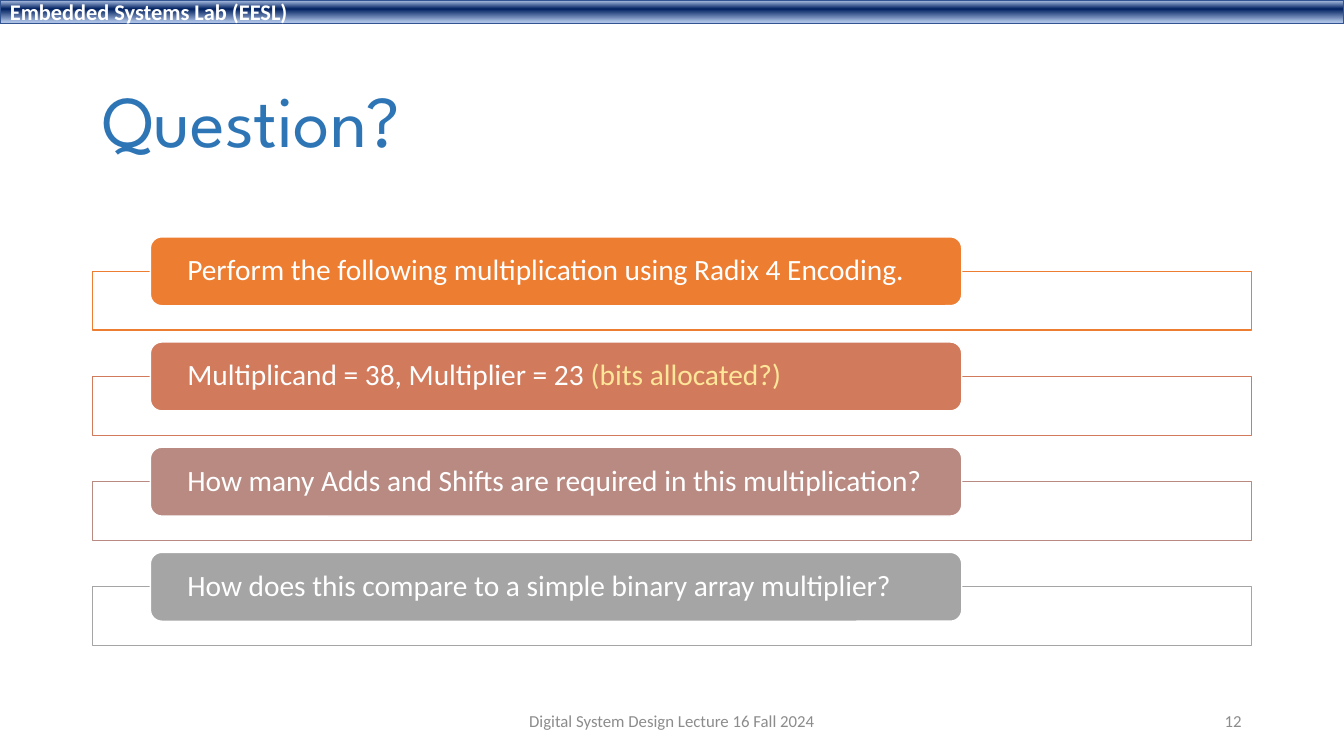
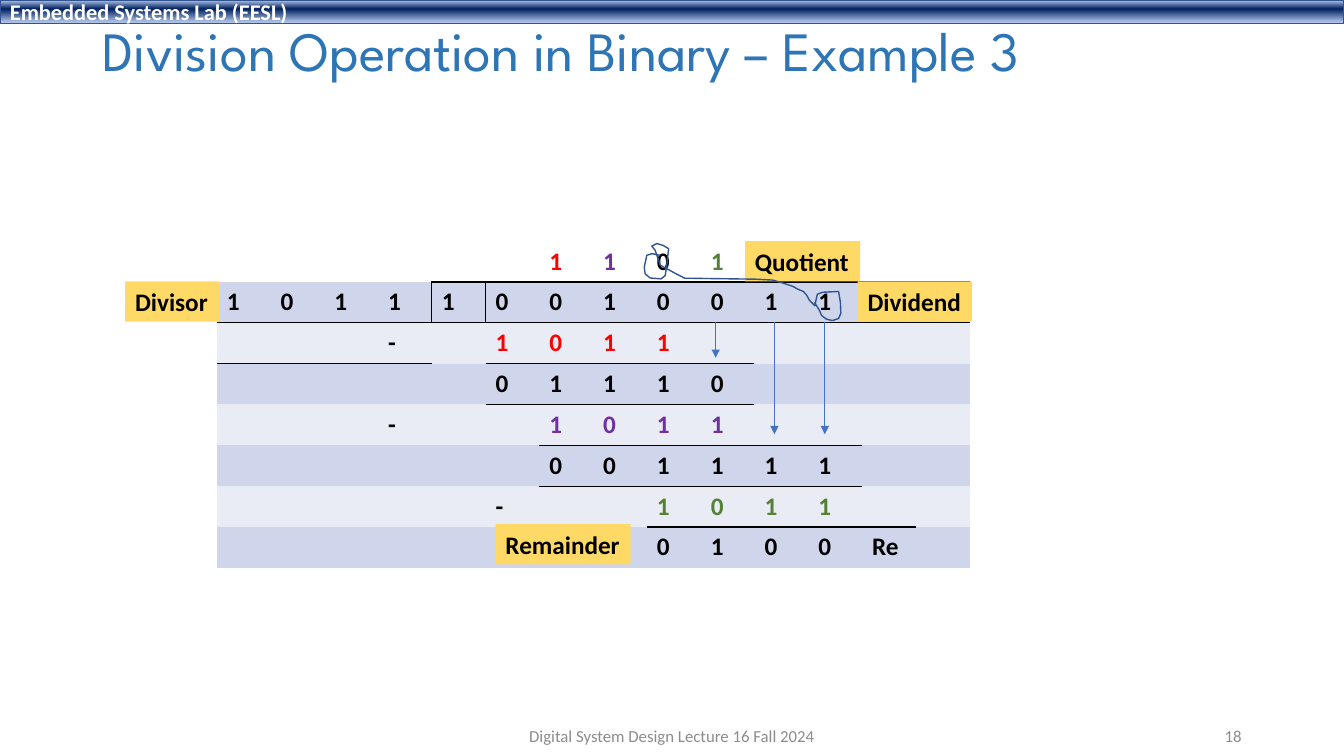
from lxml.etree import SubElement
from pptx import Presentation
from pptx.dml.color import RGBColor
from pptx.enum.shapes import MSO_CONNECTOR, MSO_SHAPE
from pptx.enum.text import MSO_ANCHOR, PP_ALIGN
from pptx.oxml.ns import qn
from pptx.util import Emu, Inches, Pt

COLUMNS, ROWS = 160, 90
CELL = Inches(1) / 12
PLAIN_TABLE = "{2D5ABB26-0587-4C30-8999-92F81FD0307C}"
COLORS = {
    "white": "FFFFFF", "black": "000000", "title": "2E75B6", "muted": "8C8C8C",
    "sky": "ABC0E4", "navy": "002060", "ink": "325491", "arrow": "4472C4",
    "label": "FFD966", "hint": "FFE699", "dark band": "CFD5EA", "light band": "E9EBF5",
    "red": "FF0000", "purple": "7030A0", "green": "548235",
    "orange": "ED7D31", "copper": "D17B5C", "rose": "B98A82", "gray": "A5A5A5",
}


def grid(*cells):
    return [Emu(round(cell * CELL)) for cell in cells]


def rgb(color):
    return RGBColor.from_string(COLORS[color])


class Deck:
    body_font = "Calibri"
    title_font = "League Spartan"
    lab = "Embedded Systems Lab (EESL)"
    lecture = "Digital System Design Lecture 16 Fall 2024"

    def __init__(self):
        self.presentation = Presentation()
        self.presentation.slide_width, self.presentation.slide_height = grid(COLUMNS, ROWS)
        self.slide = None

    def start(self, title, title_top, title_height, title_size, footer_top, number):
        self.slide = self.presentation.slides.add_slide(self.presentation.slide_layouts[6])
        self.band()
        self.text((11, title_top, 138, title_height), title, title_size, "title",
                  font=self.title_font, spacing=0.9)
        self.text((53, footer_top, 54, 4.8), self.lecture, 12, "muted", align=PP_ALIGN.CENTER)
        self.text((113, footer_top, 36, 4.8), number, 12, "muted", align=PP_ALIGN.RIGHT)

    def add_runs(self, frame, runs, size, bold=False, font=None,
                 align=PP_ALIGN.LEFT, spacing=None):
        paragraph = frame.paragraphs[0]
        paragraph.alignment = align
        paragraph.line_spacing = spacing
        for words, color in runs:
            run = paragraph.add_run()
            run.text = words
            run.font.name = font or self.body_font
            run.font.size = Pt(size)
            run.font.bold = bold
            run.font.color.rgb = rgb(color)

    def text(self, area, words, size, color, **style):
        frame = self.slide.shapes.add_textbox(*grid(*area)).text_frame
        frame.word_wrap = True
        frame.vertical_anchor = MSO_ANCHOR.MIDDLE
        self.add_runs(frame, [(words, color)], size, **style)

    def outline(self, line, color, width=1):
        if color:
            line.color.rgb = rgb(color)
            line.width = Pt(width)
        else:
            line.fill.background()

    def box(self, area, fill, line=None, preset=MSO_SHAPE.RECTANGLE):
        box = self.slide.shapes.add_shape(preset, *grid(*area))
        box.shadow.inherit = False
        box.fill.solid()
        box.fill.fore_color.rgb = rgb(fill)
        self.outline(box.line, line)
        box.text_frame.vertical_anchor = MSO_ANCHOR.MIDDLE
        return box

    def band(self):
        band = self.box((0, 0, COLUMNS, 2.8), "navy", "ink")
        band.fill.gradient()
        band.fill.gradient_angle = 270
        stops = band._element.spPr.find(qn("a:gradFill")).find(qn("a:gsLst"))
        for stop in list(stops):
            stops.remove(stop)
        for share, color in ((2, "sky"), (38, "navy"), (93, "sky")):
            stop = SubElement(stops, qn("a:gs"), pos=str(share * 1000))
            SubElement(stop, qn("a:srgbClr"), val=COLORS[color])
        self.add_runs(band.text_frame, [(self.lab, "white")], 16, bold=True)

    def question(self, top, color, runs):
        self.box((11, top + 4.1, 138, 7), "white", color)
        heading = self.box((17.9, top, 96.6, 8.2), color, "white", MSO_SHAPE.ROUNDED_RECTANGLE)
        frame = heading.text_frame
        frame.word_wrap = True
        frame.margin_left = frame.margin_right = grid(4)[0]
        self.add_runs(frame, runs, 21, spacing=0.9)

    def label(self, left, top, width, words):
        frame = self.box((left, top, width, 4.8), "label").text_frame
        frame.word_wrap = False
        self.add_runs(frame, [(words, "black")], 18, bold=True)

    def arrow(self, x, top, bottom):
        arrow = self.slide.shapes.add_connector(MSO_CONNECTOR.STRAIGHT, *grid(x, top, x, bottom))
        self.outline(arrow.line, "arrow", 0.5)
        properties = arrow._element.spPr
        SubElement(properties.find(qn("a:ln")), qn("a:tailEnd"), type="triangle")
        SubElement(properties, qn("a:effectLst"))

    def pen(self, points):
        start, *rest = [grid(*point) for point in points]
        builder = self.slide.shapes.build_freeform(*start)
        builder.add_line_segments(rest, close=False)
        stroke = builder.convert_to_shape()
        stroke.shadow.inherit = False
        stroke.fill.background()
        self.outline(stroke.line, "ink")

    def table(self, area, rows, columns, entries, borders):
        frame = self.slide.shapes.add_table(rows, columns, *grid(*area))
        table = frame.table
        table.first_row = table.horz_banding = False
        frame._element.find(".//" + qn("a:tableStyleId")).text = PLAIN_TABLE
        for column in table.columns:
            column.width = grid(area[2] / columns)[0]
        for index, row in enumerate(table.rows):
            row.height = grid(area[3] / rows)[0]
            for position, cell in enumerate(row.cells):
                for side in "LRTB":
                    if (index, position, side) in borders:
                        self.border(cell, side)
                if index:
                    cell.fill.solid()
                    cell.fill.fore_color.rgb = rgb("dark band" if index % 2 else "light band")
                else:
                    cell.fill.background()
        for row, first, digits, color in entries:
            for offset, digit in enumerate(digits):
                self.add_runs(table.cell(row, first + offset).text_frame,
                              [(digit, color)], 18, bold=True)

    def border(self, cell, side):
        edge = SubElement(cell._tc.get_or_add_tcPr(), qn("a:ln" + side), w=str(int(Pt(1))))
        SubElement(SubElement(edge, qn("a:solidFill")), qn("a:srgbClr"), val=COLORS["black"])


QUESTIONS = [
    ("orange", [("Perform the following multiplication using Radix 4 Encoding.", "white")]),
    ("copper", [("Multiplicand = 38, Multiplier = 23 ", "white"), ("(bits allocated?)", "hint")]),
    ("rose", [("How many Adds and Shifts are required in this multiplication?", "white")]),
    ("gray", [("How does this compare to a simple binary array multiplier?", "white")]),
]

DIVISION = [
    (0, 6, "1", "red"), (0, 7, "1", "purple"), (0, 8, "0", "black"), (0, 9, "1", "green"),
    (1, 0, "1011", "black"), (1, 4, "10010011", "black"),
    (2, 3, "-", "black"), (2, 5, "1011", "red"), (3, 5, "01110", "black"),
    (4, 3, "-", "black"), (4, 6, "1011", "purple"), (5, 6, "001111", "black"),
    (6, 5, "-", "black"), (6, 8, "1011", "green"), (7, 8, "0100", "black"),
    (7, 12, ["Re"], "black"),
]

RULES = [(0, 4, 13), (1, 0, 3), (2, 5, 9), (4, 6, 11), (6, 8, 12)]

LABELS = [
    (14.9, 33.5, 11.2, "Divisor"), (88.7, 28.7, 13.7, "Quotient"),
    (102.1, 33.5, 13.6, "Dividend"), (59, 62.4, 16.1, "Remainder"),
]

BRING_DOWNS = [(85.2, 42.6), (92.2, 51.7), (98.2, 51.7)]

PEN_TRAIL = [
    (96.96, 36), (97.56, 36.96), (97.8, 37.56), (98.4, 38), (99.1, 38.16), (99.84, 37.92),
    (100.1, 37.3), (100.05, 36), (99.84, 34.7), (97.9, 34.8), (97.3, 35.04), (97, 36.4),
    (96.4, 35.8), (96, 35.1), (95.64, 34.7), (95, 34.44), (94.4, 34.1), (93.2, 33.7),
    (92, 33.35), (90, 33.24), (81.5, 33.12), (80.3, 32.5), (79.2, 31.9), (78.6, 31.56),
    (78.2, 30.4), (78, 29.8), (77.6, 29.3), (78.2, 29), (78.9, 29.2), (79.6, 29.6),
    (79.4, 31.4), (79.2, 32.8), (78.7, 33.2), (77.4, 33.1), (76.8, 32.6), (76.7, 31.8),
    (77, 30.4), (77.6, 30.2), (78.6, 30.4),
]


def main():
    deck = Deck()

    deck.start("Question?", 7.3, 14.9, 52, 83.4, "12")
    for index, (color, runs) in enumerate(QUESTIONS):
        deck.question(28.2 + 12.52 * index, color, runs)

    deck.start("Division Operation in Binary – Example 3", 1.8, 9.2, 39.6, 85.2, "18")
    borders = {(1, 3, "R"), (1, 4, "L")}
    for row, first, last in RULES:
        for column in range(first, last + 1):
            borders |= {(row, column, "B"), (row + 1, column, "T")}
    deck.table((25.8, 28.7, 89.64, 38.9), 8, 14, DIVISION, borders)
    for left, top, width, words in LABELS:
        deck.label(left, top, width, words)
    for x, bottom in BRING_DOWNS:
        deck.arrow(x, 38.3, bottom)
    deck.pen(PEN_TRAIL)

    deck.presentation.save("out.pptx")


if __name__ == "__main__":
    main()
